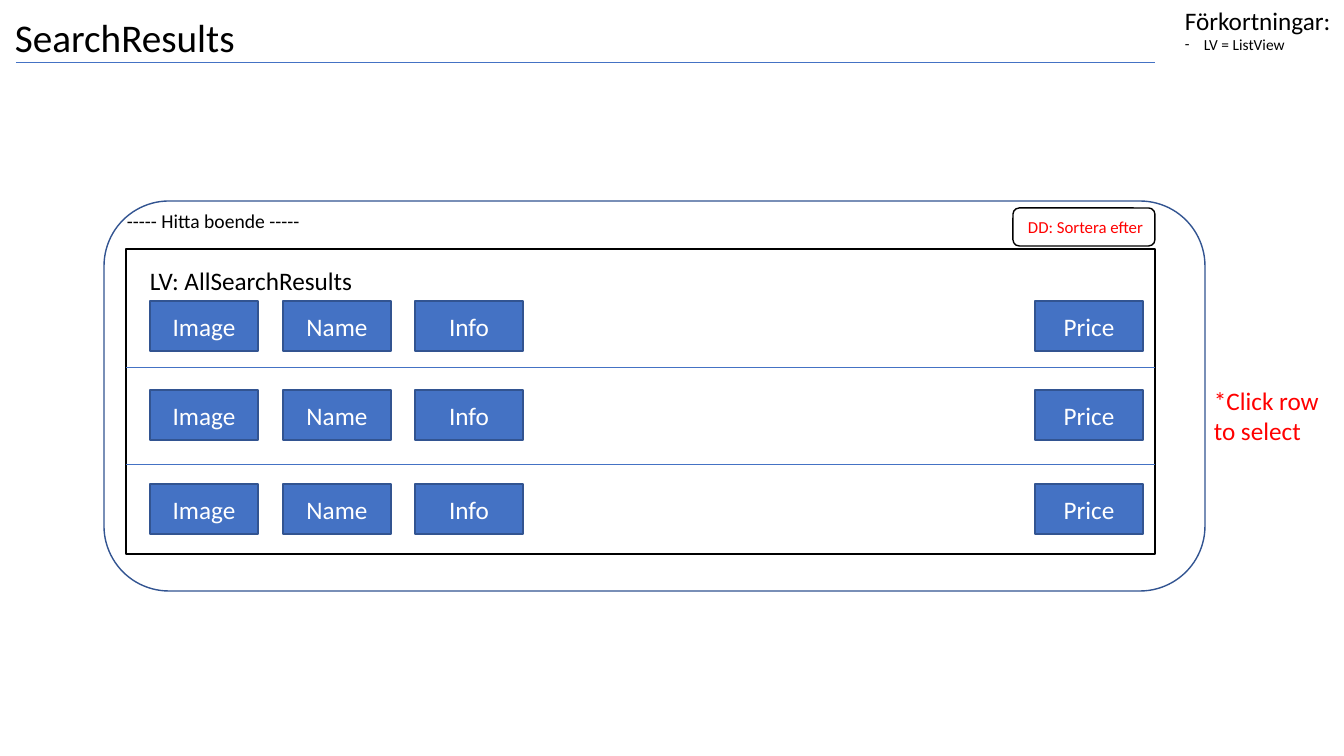
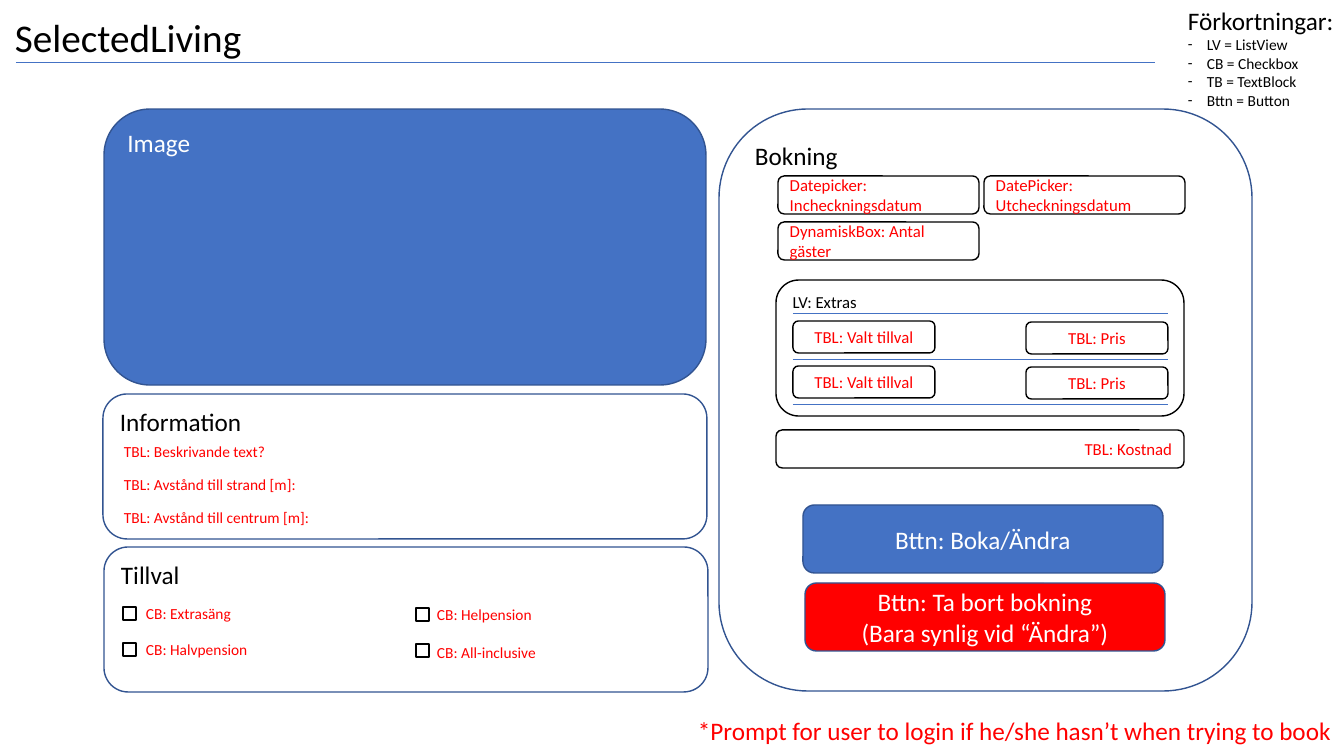
from lxml import etree
from pptx import Presentation
from pptx.dml.color import RGBColor
from pptx.enum.shapes import MSO_CONNECTOR, MSO_SHAPE
from pptx.enum.text import MSO_ANCHOR, MSO_AUTO_SIZE, PP_ALIGN
from pptx.oxml.ns import qn
from pptx.util import Pt

PX = 914400 / 100.8
FONT = "Calibri"
BLUE, NAVY, BLACK, WHITE, RED = "4472C4", "325491", "000000", "FFFFFF", "FF0000"
RECT, ROUND = MSO_SHAPE.RECTANGLE, MSO_SHAPE.ROUNDED_RECTANGLE
STRAIGHT = MSO_CONNECTOR.STRAIGHT
TOP, MIDDLE = MSO_ANCHOR.TOP, MSO_ANCHOR.MIDDLE
LEFT, CENTER, RIGHT = PP_ALIGN.LEFT, PP_ALIGN.CENTER, PP_ALIGN.RIGHT
GROW = MSO_AUTO_SIZE.SHAPE_TO_FIT_TEXT


def emu(*lengths):
    return [round(v * PX) for v in lengths]


def rgb(color):
    return RGBColor.from_string(color)


def write(sp, text, size, color, align=LEFT, anchor=TOP):
    tf = sp.text_frame
    tf.word_wrap = True
    tf.vertical_anchor = anchor
    tf.text = text
    for p in tf.paragraphs:
        p.alignment = align
        for r in p.runs:
            r.font.name, r.font.size = FONT, Pt(size)
            r.font.color.rgb = rgb(color)
    return tf


def label(s, box, text, size=18, color=BLACK):
    tf = write(s.shapes.add_textbox(*emu(*box)), text, size, color)
    tf.auto_size = GROW
    return tf


def box(s, at, kind=ROUND, fill=None, line=NAVY):
    sp = s.shapes.add_shape(kind, *emu(*at))
    sp.shadow.inherit = False
    if fill:
        sp.fill.solid()
        sp.fill.fore_color.rgb = rgb(fill)
    else:
        sp.fill.background()
    sp.line.color.rgb = rgb(line)
    sp.line.width = Pt(1)
    return sp


def panel(s, at, text, fill=None, line=NAVY, size=18, color=BLACK):
    write(box(s, at, fill=fill, line=line), text, size, color)


def button(s, at, text, fill=BLUE, kind=ROUND):
    write(box(s, at, kind, fill), text, 18, WHITE, CENTER, MIDDLE)


def field(s, at, text, align=LEFT):
    write(box(s, at, line=BLACK), text, 12, RED, align, MIDDLE)


def rule(s, x1, x2, y):
    ln = s.shapes.add_connector(STRAIGHT, *emu(x1, y, x2, y))
    ln.line.color.rgb = rgb(BLUE)
    ln.line.width = Pt(0.5)
    etree.SubElement(ln._element.spPr, qn("a:effectLst"))


def header(s, title):
    sp = s.shapes.add_textbox(*emu(5, 6, 1159, 68))
    write(sp, title, 28, BLACK, anchor=MIDDLE).paragraphs[0].line_spacing = 0.9
    rule(s, 16, 1155, 62.5)


def legend(s, at, entries):
    tf = label(s, at, "\n".join(["Förkortningar:"] + entries))
    indent, = emu(19)
    for p in tf.paragraphs[1:]:
        p.runs[0].font.size = Pt(11)
        pPr = p._p.get_or_add_pPr()
        pPr.set("marL", str(indent))
        pPr.set("indent", str(-indent))
        etree.SubElement(pPr, qn("a:buFont")).set("typeface", FONT)
        etree.SubElement(pPr, qn("a:buChar")).set("char", "-")


def search_results(s):
    # Page frame and sorting
    box(s, (104, 201, 1101, 390))
    label(s, (117, 204, 394, 34), "----- Hitta boende -----", 14)
    field(s, (1013, 208, 142, 38), "DD: Sortera efter", RIGHT)
    legend(s, (1175, 0, 299, 78), ["LV = ListView"])

    # Result list
    box(s, (126, 249, 1029, 305), RECT, line=BLACK)
    label(s, (140, 260, 249, 40), "LV: AllSearchResults")
    for y in (367, 464):
        rule(s, 126, 1155, y)
    columns = {"Image": 150, "Name": 283, "Info": 415, "Price": 1035}
    for y in (301, 390, 484):
        for name, x in columns.items():
            button(s, (x, y, 108, 50), name, kind=RECT)
    label(s, (1204, 380, 132, 72), "*Click row to select", color=RED)
    header(s, "SearchResults")


def selected_living(s):
    legend(s, (1178, 0, 299, 115), ["LV = ListView", "CB = Checkbox",
                                    "TB = TextBlock", "Bttn = Button"])

    # Image and information
    panel(s, (104, 109, 602, 276), "Image", BLUE, color=WHITE)
    panel(s, (103, 394, 604, 145), "Information")
    facts = ("Beskrivande text?", "Avstånd till strand [m]:",
             "Avstånd till centrum [m]:")
    for i, fact in enumerate(facts):
        label(s, (114, 437 + 33 * i, 243, 29), "TBL: " + fact, 11, RED)

    # Options with checkboxes
    panel(s, (104, 547, 604, 145), "Tillval")
    options = ((123, 607, 136, 599, "Extrasäng"),
               (123, 643, 136, 635, "Halvpension"),
               (416, 608, 427, 600, "Helpension"),
               (416, 644, 427, 638, "All-inclusive"))
    for x, y, text_x, text_y, option in options:
        box(s, (x, y, 13, 13), RECT, line=BLACK)
        label(s, (text_x, text_y, 179, 29), "CB: " + option, 11, RED)

    # Booking fields
    panel(s, (719, 109, 533, 582), "Bokning")
    field(s, (778, 176, 201, 38), "Datepicker: Incheckningsdatum")
    field(s, (984, 176, 201, 38), "DatePicker: Utcheckningsdatum")
    field(s, (778, 222, 201, 38), "DynamiskBox: Antal gäster")
    field(s, (776, 430, 408, 38), "TBL: Kostnad", RIGHT)

    # Chosen extras
    panel(s, (776, 280, 408, 136), "LV: Extras", line=BLACK, size=12)
    for i in range(3):
        rule(s, 793, 1168, 313.5 + 45.5 * i)
    for y in (321, 366):
        field(s, (793, y, 142, 32), "TBL: Valt tillval", CENTER)
        field(s, (1026, y + 1, 142, 32), "TBL: Pris", CENTER)

    # Actions
    button(s, (803, 505, 360, 68), "Bttn: Boka/Ändra")
    button(s, (805, 583, 360, 68),
           "Bttn: Ta bort bokning\v(Bara synlig vid “Ändra”)", RED)
    label(s, (688, 710, 656, 40),
          "*Prompt for user to login if he/she hasn’t when trying to book",
          color=RED)
    header(s, "SelectedLiving")


def main():
    prs = Presentation()
    prs.slide_width, prs.slide_height = emu(1344, 756)
    for build in (search_results, selected_living):
        build(prs.slides.add_slide(prs.slide_layouts[6]))
    prs.save("out.pptx")


main()
